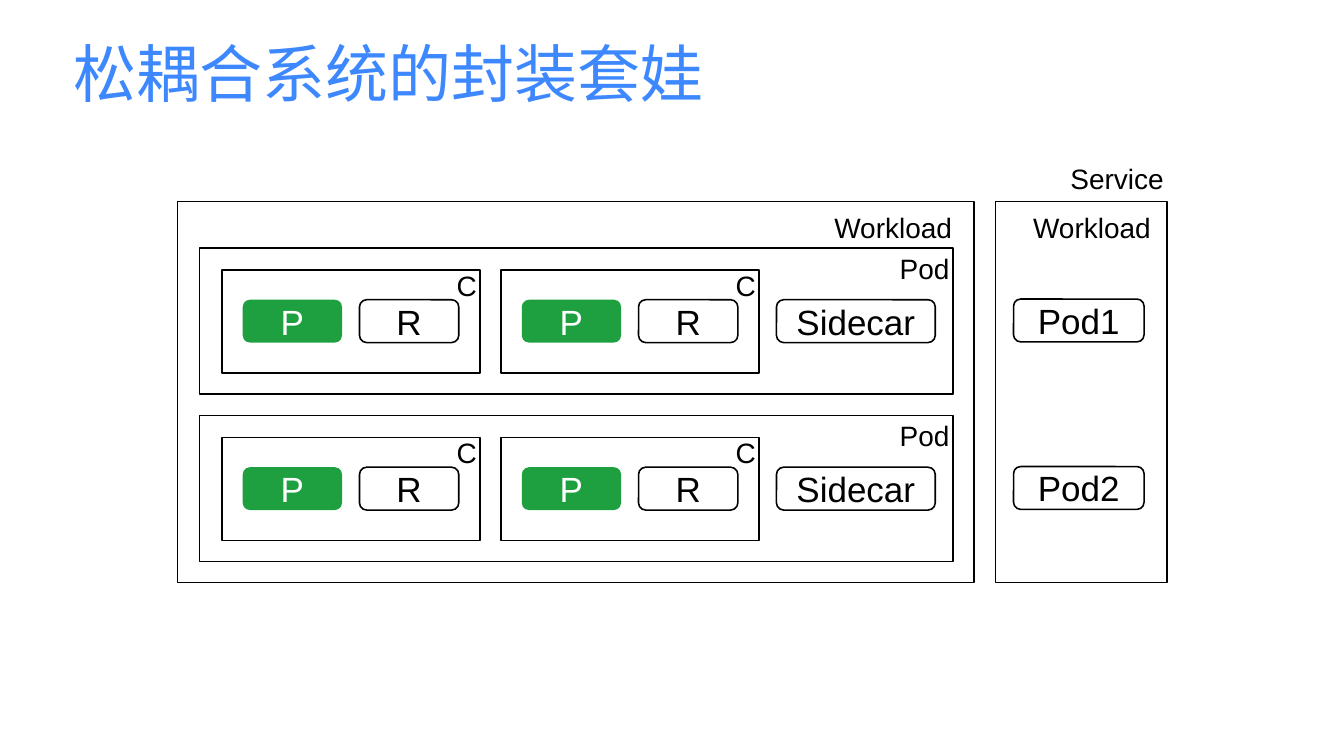
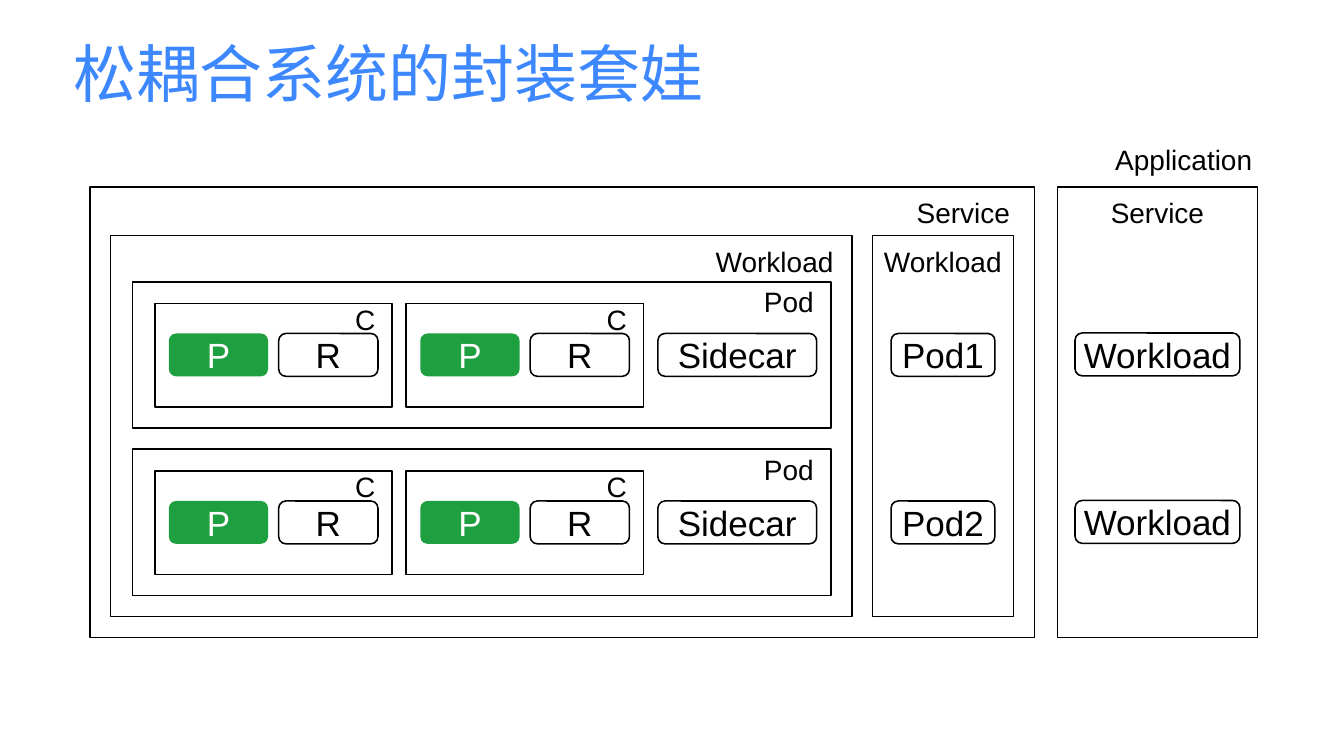
import pptx
import pptx.util
import pptx.dml.color
import pptx.enum.shapes
import pptx.enum.text

COLUMNS, ROWS = 80, 45
SHAPE = pptx.enum.shapes.MSO_SHAPE
ALIGN = pptx.enum.text.PP_ALIGN

BLACK, WHITE, GREEN, BLUE = "000000", "FFFFFF", "1FA040", "3D88FF"
TITLE = "松耦合系统的封装套娃"

# Shared sizes in grid columns and rows
BOX_HEIGHT, BOX_WIDTH, SIDECAR_WIDTH = 2.55, 5.91, 9.45
LABEL_HEIGHT = 2.37
LABEL_WIDTHS = {"Pod": 3.39, "Workload": 7.53, "Service": 5.91, "Application": 8.79}
C_WIDTH, C_HEIGHT = 1.56, 1.71
WORKLOAD_HEIGHT, POD_HEIGHT, CONTAINER_HEIGHT = 22.68, 8.7, 6.15
POD_PITCH = 9.97
POD_MARGIN = 1.32


def color(hex_string):
    return pptx.dml.color.RGBColor.from_string(hex_string)


class NestingSlides:
    """Holds the deck, its style and the current page."""

    font_name = "Arial"
    title_size, box_size, label_size = 90, 50, 40
    line_width = pptx.util.Pt(2.25)
    inset = pptx.util.Inches(0.06)

    def __init__(self):
        self.deck = pptx.Presentation()
        self.deck.slide_width = pptx.util.Inches(26.67)
        self.deck.slide_height = pptx.util.Inches(15)
        self.page = None

    def place(self, left, top, width, height):
        column = self.deck.slide_width / COLUMNS
        row = self.deck.slide_height / ROWS
        return (round(left * column), round(top * row),
                round(width * column), round(height * row))

    def fill_text(self, shape, text, size, ink, align, wrap):
        frame = shape.text_frame
        frame.word_wrap = wrap
        frame.auto_size = pptx.enum.text.MSO_AUTO_SIZE.NONE
        frame.vertical_anchor = pptx.enum.text.MSO_ANCHOR.MIDDLE
        frame.margin_left = frame.margin_right = self.inset
        frame.margin_top = frame.margin_bottom = self.inset
        para = frame.paragraphs[0]
        para.alignment = align
        span = para.add_run()
        span.text = text
        span.font.name = self.font_name
        span.font.size = pptx.util.Pt(size)
        span.font.color.rgb = color(ink)

    def add_page(self):
        self.page = self.deck.slides.add_slide(self.deck.slide_layouts[6])
        self.text(TITLE, 4.2, 1.86, 38.19, 4.89, self.title_size, BLUE, ALIGN.LEFT)

    # Basic elements
    def text(self, text, left, top, width, height, size, ink=BLACK, align=ALIGN.CENTER):
        box = self.page.shapes.add_textbox(*self.place(left, top, width, height))
        self.fill_text(box, text, size, ink, align, wrap=False)

    def label(self, text, left, top):
        self.text(text, left, top, LABEL_WIDTHS[text], LABEL_HEIGHT, self.label_size)

    def outline(self, kind, left, top, width, height, fill=WHITE, line=BLACK):
        shape = self.page.shapes.add_shape(kind, *self.place(left, top, width, height))
        shape.shadow.inherit = False
        shape.fill.solid()
        shape.fill.fore_color.rgb = color(fill)
        if line:
            shape.line.color.rgb = color(line)
            shape.line.width = self.line_width
        else:
            shape.line.fill.background()
        return shape

    def frame(self, left, top, width, height):
        self.outline(SHAPE.RECTANGLE, left, top, width, height)

    def box(self, text, left, top, width, fill=WHITE, ink=BLACK, line=BLACK):
        shape = self.outline(SHAPE.ROUNDED_RECTANGLE, left, top, width,
                             BOX_HEIGHT, fill, line)
        self.fill_text(shape, text, self.box_size, ink, ALIGN.CENTER, wrap=True)

    # Nested elements
    def container(self, left, top, width, gap, label_gap):
        self.frame(left, top, width, CONTAINER_HEIGHT)
        self.text("C", left + width - label_gap - C_WIDTH, top + 0.06,
                  C_WIDTH, C_HEIGHT, self.label_size)
        box_top = top + 1.78
        self.box("P", left + gap, box_top, BOX_WIDTH, GREEN, WHITE, None)
        self.box("R", left + width - gap - BOX_WIDTH, box_top, BOX_WIDTH)

    def pod(self, left, top, width, container_width, gap, side_gap, label_gap):
        self.frame(left, top, width, POD_HEIGHT)
        right = left + width
        self.label("Pod", right - label_gap - LABEL_WIDTHS["Pod"], top)
        for index in range(2):
            self.container(left + POD_MARGIN + index * (container_width + gap),
                           top + 1.3, container_width, gap, label_gap)
        self.box("Sidecar", right - side_gap - SIDECAR_WIDTH, top + 3.08, SIDECAR_WIDTH)

    def workload(self, left, top, width, container_width, gap, side_gap, label_gap):
        self.frame(left, top, width, WORKLOAD_HEIGHT)
        for index in range(2):
            self.pod(left + POD_MARGIN, top + 2.76 + index * POD_PITCH,
                     width - 2 * POD_MARGIN + 0.06, container_width,
                     gap, side_gap, label_gap)
        self.label("Workload", left + width - side_gap - LABEL_WIDTHS["Workload"],
                   top + 0.36)

    def side_column(self, area, heading, heading_left, items, box_left, box_top, box_width):
        self.frame(*area)
        self.label(heading, heading_left, area[1] + 0.34)
        for index, item in enumerate(items):
            self.box(item, box_left, box_top + index * POD_PITCH, box_width)


def main():
    slides = NestingSlides()
    pods = ["Pod1", "Pod2"]

    # A service made of workloads
    slides.add_page()
    slides.workload(10.56, 12, 47.43, container_width=15.36,
                    gap=1.25, side_gap=1.06, label_gap=0)
    slides.side_column((59.25, 12, 10.2, WORKLOAD_HEIGHT), "Workload", 61.23,
                       pods, 60.33, 17.8, 7.77)
    slides.label("Service", 63.54, 9.42)

    # An application made of services
    slides.add_page()
    slides.frame(5.37, 11.13, 56.22, 26.82)
    slides.side_column((51.93, 14.01, 8.4, WORKLOAD_HEIGHT), "Workload", 52.35,
                       pods, 53.04, 19.85, 6.18)
    slides.label("Service", 54.39, 11.43)
    slides.workload(6.57, 14.01, 44.16, container_width=14.13,
                    gap=0.84, side_gap=0.86, label_gap=0.82)
    slides.side_column((62.94, 11.13, 11.91, 26.82), "Service", 65.94,
                       ["Workload"] * 2, 63.99, 19.82, 9.81)
    slides.label("Application", 66.06, 8.31)

    slides.deck.save("out.pptx")


if __name__ == "__main__":
    main()
